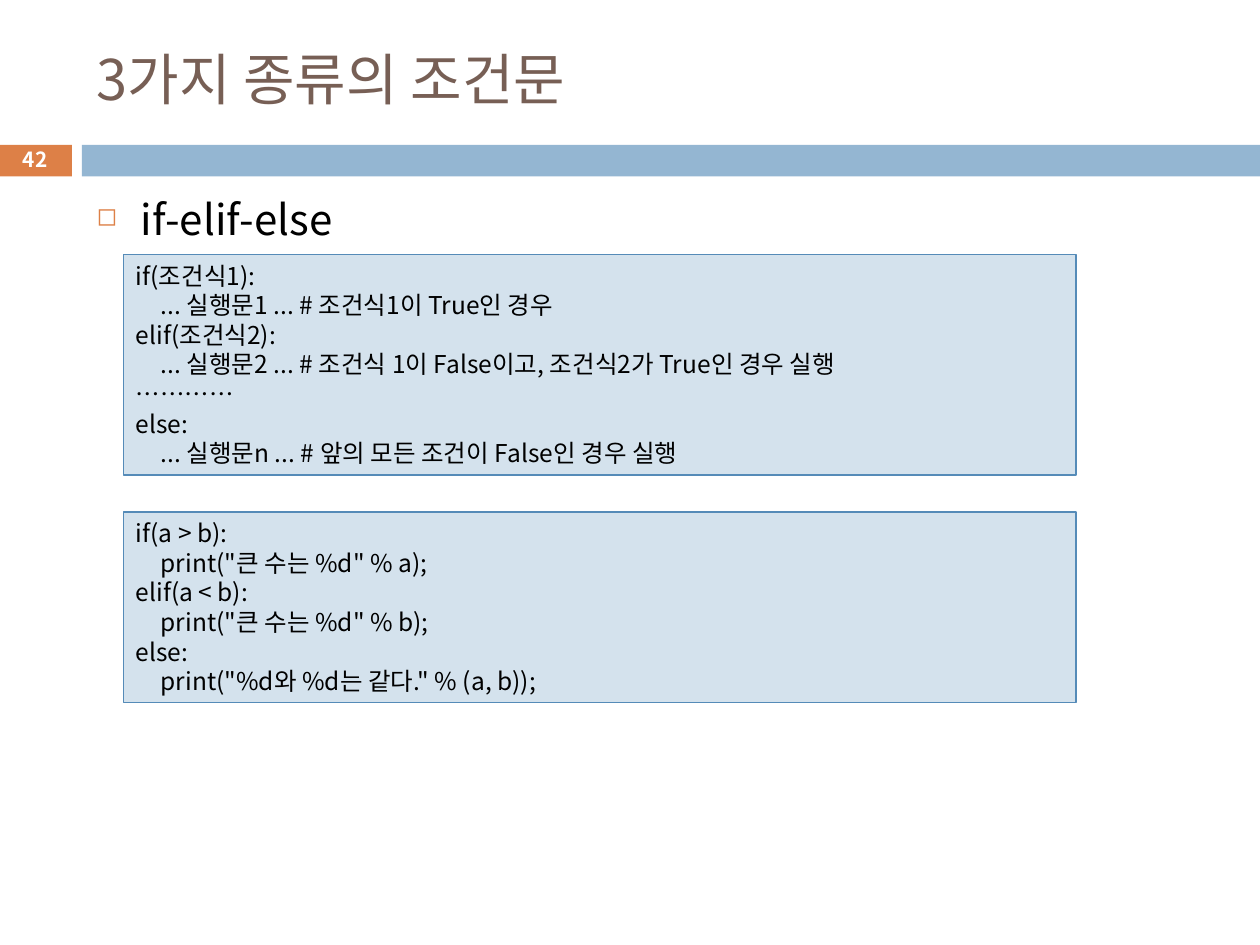
from lxml import etree
from pptx import Presentation
from pptx.dml.color import RGBColor
from pptx.enum import shapes, text
from pptx.oxml import ns
from pptx.util import Cm, Pt

FONT = "Noto Sans CJK KR"
ORANGE = RGBColor(0xDD, 0x80, 0x47)
BLUE = RGBColor(0x94, 0xB6, 0xD2)
PALE = RGBColor(0xD4, 0xE2, 0xED)
EDGE = RGBColor(0x55, 0x8B, 0xB8)
BROWN = RGBColor(0x77, 0x5F, 0x55)
WHITE = RGBColor(0xFF, 0xFF, 0xFF)
BLACK = RGBColor(0, 0, 0)


def style(p, size, color, bold=False):
    for r in p.runs:
        r.font.size = Pt(size)
        r.font.name = FONT
        r.font.bold = bold
        r.font.color.rgb = color
        ea = etree.SubElement(r._r.get_or_add_rPr(), ns.qn("a:ea"))
        ea.set("typeface", FONT)


def add_rect(x, y, w, h, fill):
    sp = s.shapes.add_shape(shapes.MSO_SHAPE.RECTANGLE, Cm(x), Cm(y), Cm(w), Cm(h))
    sp.shadow.inherit = False
    sp.fill.solid()
    sp.fill.fore_color.rgb = fill
    sp.line.fill.background()
    return sp


prs = Presentation()
prs.slide_width, prs.slide_height = Cm(25.4), Cm(19.05)
s = prs.slides.add_slide(prs.slide_layouts[6])

add_rect(-0.03, 2.92, 1.48, 0.64, ORANGE)
add_rect(1.65, 2.92, 23.75, 0.64, BLUE)

labels = [
    ("3가지 종류의 조건문", 1.7, 0.64, 22.66, 1.88, 32, BROWN, False),
    ("if-elif-else", 1.7, 3.73, 22.66, 14, 24, BLACK, False),
    ("42", -0.03, 2.87, 1.48, 0.69, 11.9, WHITE, True),
]
boxes = []
for words, x, y, w, h, size, color, bold in labels:
    sp = s.shapes.add_textbox(Cm(x), Cm(y), Cm(w), Cm(h))
    tf = sp.text_frame
    tf.word_wrap = True
    tf.vertical_anchor = text.MSO_ANCHOR.MIDDLE
    tf.text = words
    style(tf.paragraphs[0], size, color, bold)
    boxes.append(tf)

title, body, number = boxes
number.paragraphs[0].alignment = text.PP_ALIGN.CENTER
body.vertical_anchor = text.MSO_ANCHOR.TOP
p = body.paragraphs[0]
p.line_spacing = Pt(30)
pPr = p._p.get_or_add_pPr()
pPr.set("marL", str(Cm(0.89)))
pPr.set("indent", str(-Cm(0.89)))
color = etree.SubElement(pPr, ns.qn("a:buClr"))
etree.SubElement(color, ns.qn("a:srgbClr")).set("val", str(ORANGE))
etree.SubElement(pPr, ns.qn("a:buSzPct")).set("val", "60000")
etree.SubElement(pPr, ns.qn("a:buChar")).set("char", "◻")

listings = [
    (5.13, 4.45, [
        "if(조건식1):",
        "\t... 실행문1 ... # 조건식1이 True인 경우",
        "elif(조건식2):",
        "\t... 실행문2 ... # 조건식 1이 False이고, 조건식2가 True인 경우 실행",
        "…………",
        "else:",
        "\t... 실행문n ... # 앞의 모든 조건이 False인 경우 실행",
    ]),
    (10.32, 3.84, [
        "if(a > b):",
        '\tprint("큰 수는 %d" % a);',
        "elif(a < b):",
        '\tprint("큰 수는 %d" % b);',
        "else:",
        '\tprint("%d와 %d는 같다." % (a, b));',
    ]),
]
for y, h, lines in listings:
    sp = add_rect(2.49, y, 19.2, h, PALE)
    sp.line.color.rgb = EDGE
    sp.line.width = Pt(0.75)
    tf = sp.text_frame
    tf.word_wrap = True
    tf.vertical_anchor = text.MSO_ANCHOR.TOP
    tf.text = "\n".join(lines)
    for p in tf.paragraphs:
        p.alignment = text.PP_ALIGN.LEFT
        p.line_spacing = Pt(16.9)
        tabs = etree.SubElement(p._p.get_or_add_pPr(), ns.qn("a:tabLst"))
        tab = etree.SubElement(tabs, ns.qn("a:tab"))
        tab.set("pos", str(Cm(0.5)))
        tab.set("algn", "l")
        style(p, 14, BLACK)

prs.save("out.pptx")
